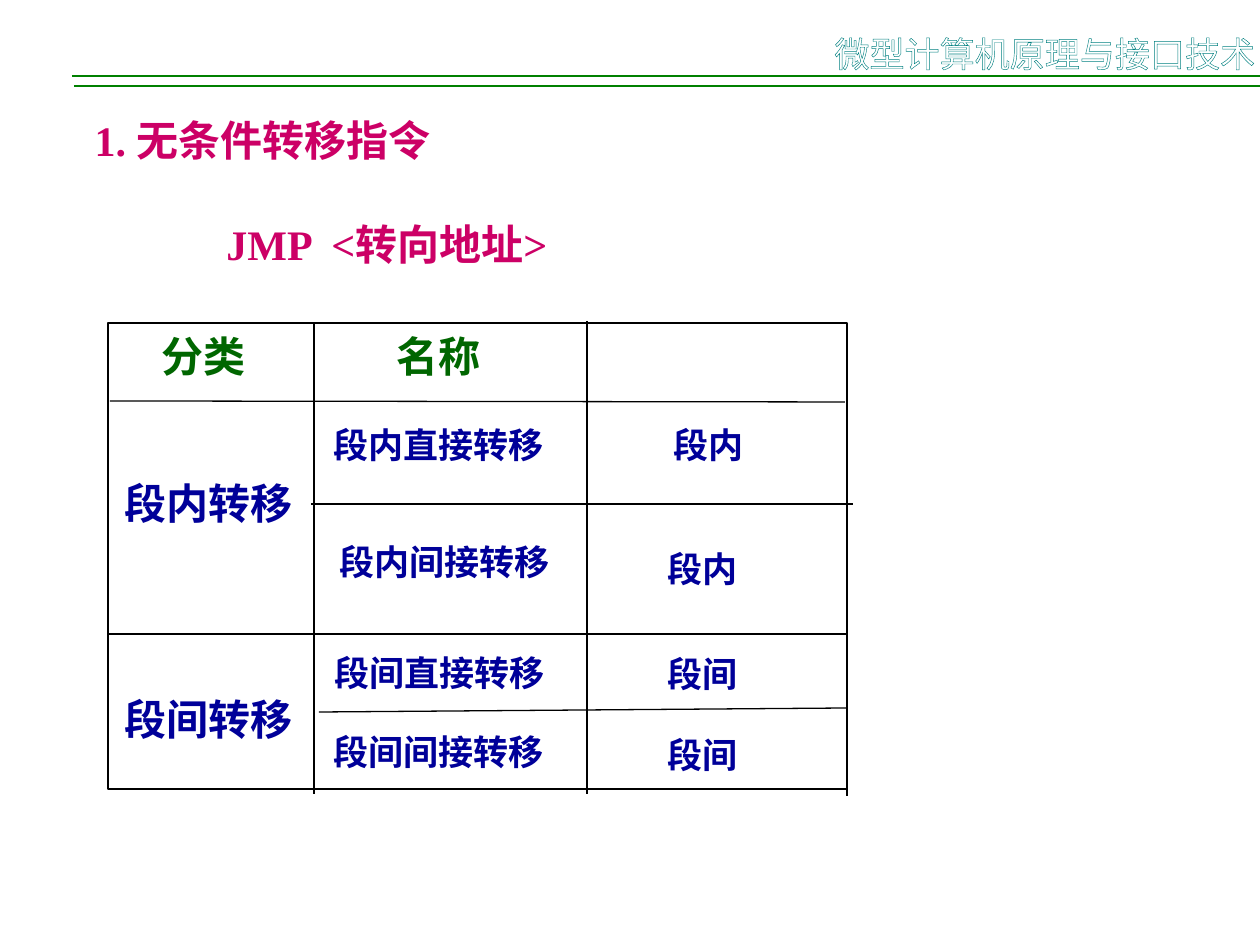
from dataclasses import dataclass
from typing import Any

from lxml.etree import SubElement
from pptx import Presentation
from pptx.dml.color import RGBColor as Rgb
from pptx.enum.shapes import MSO_CONNECTOR as Link, MSO_SHAPE as Kind
from pptx.enum.text import MSO_ANCHOR as Anchor, MSO_AUTO_SIZE as Fit, PP_ALIGN as Align
from pptx.oxml import parse_xml
from pptx.oxml.ns import nsdecls, qn
from pptx.util import Emu, Pt

SCALE = 914400 / 126


@dataclass(frozen=True)
class Theme:
    ink: str = "000000"
    rule: str = "008000"
    edge: str = "008080"
    white: str = "FFFFFF"
    title: str = "CC0066"
    head: str = "006600"
    body: str = "000099"
    latin: str = "Times New Roman"
    asian: str = "Noto Sans CJK SC"
    big: int = 24
    small: int = 20
    width: float = 0.75


@dataclass(frozen=True)
class Label:
    text: str
    x: int
    y: int
    w: int
    h: int
    size: int
    color: str


@dataclass(frozen=True)
class Rule:
    x1: int
    y1: int
    x2: int
    y2: int


THEME = Theme()
BIG, SMALL = THEME.big, THEME.small

BANNER = Label("微型计算机原理与接口技术", 868, 26, 354, 35, SMALL, THEME.white)
TITLE = Label("1. 无条件转移指令", 82, 108, 380, 63, BIG, THEME.title)
SYNTAX = Label("JMP  <转向地址>", 214, 212, 370, 63, BIG, THEME.title)

HEADS = [Label(text, x, 324, 114, 63, BIG, THEME.head)
         for text, x in (("分类", 149), ("名称", 384))]
GROUPS = [Label(text, 112, y, 196, 63, BIG, THEME.body)
          for text, y in (("段内转移", 471), ("段间转移", 687))]
NAMES = [Label(text, x, y, 238, 55, SMALL, THEME.body)
         for text, x, y in (("段内直接转移", 321, 417), ("段内间接转移", 327, 534),
                            ("段间直接转移", 322, 645), ("段间间接转移", 321, 724))]
SCOPES = [Label(text, x, y, 98, 55, SMALL, THEME.body)
          for text, x, y in (("段内", 661, 417), ("段内", 655, 541),
                             ("段间", 655, 646), ("段间", 655, 727))]

HEADER = [Rule(74, 86, 1260, 86), Rule(72, 76, 1260, 76)]
GRID = [
    Rule(314, 324, 314, 794), Rule(587, 321, 587, 794), Rule(847, 324, 847, 796),
    Rule(110, 401, 845, 402), Rule(311, 504, 853, 504),
    Rule(108, 634, 846, 634), Rule(319, 712, 847, 708),
]


def px(n: int) -> Emu:
    return Emu(round(n * SCALE))


def write(shape: Any, label: Label, latin: str = THEME.latin, bold: bool = True) -> Any:
    """Put the label's text in the shape and return its run."""
    frame = shape.text_frame
    frame.word_wrap = False
    frame.auto_size = Fit.SHAPE_TO_FIT_TEXT
    frame.vertical_anchor = Anchor.TOP
    para = frame.paragraphs[0]
    para.alignment = Align.LEFT
    run = para.add_run()
    run.text = label.text
    font = run.font
    font.size, font.bold, font.name = Pt(label.size), bold, latin
    font.color.rgb = Rgb.from_string(label.color)
    SubElement(font._element, qn("a:ea")).set("typeface", THEME.asian)
    return run


def add_label(slide: Any, label: Label) -> None:
    box = slide.shapes.add_textbox(*map(px, (label.x, label.y, label.w, label.h)))
    write(box, label)


def add_title(slide: Any, label: Label) -> None:
    title = slide.shapes.title
    title.left, title.top, title.width, title.height = map(
        px, (label.x, label.y, label.w, label.h))
    write(title, label)


def add_banner(slide: Any, label: Label) -> None:
    """Draw the course name in outlined letters."""
    box = slide.shapes.add_textbox(*map(px, (label.x, label.y, label.w, label.h)))
    run = write(box, label, THEME.asian, False)
    box.text_frame.auto_size = Fit.NONE
    box.text_frame.paragraphs[0].alignment = Align.CENTER
    run.font._element.insert(0, parse_xml(
        f'<a:ln {nsdecls("a")} w="{Pt(THEME.width)}"><a:solidFill>'
        f'<a:srgbClr val="{THEME.edge}"/></a:solidFill></a:ln>'))


def style(line: Any, color: str) -> None:
    line.color.rgb = Rgb.from_string(color)
    line.width = Pt(THEME.width)


def add_rule(slide: Any, rule: Rule, color: str) -> None:
    line = slide.shapes.add_connector(
        Link.STRAIGHT, *map(px, (rule.x1, rule.y1, rule.x2, rule.y2)))
    style(line.line, color)
    SubElement(line._element.spPr, qn("a:effectLst"))


def add_frame(slide: Any, x: int, y: int, w: int, h: int) -> None:
    frame = slide.shapes.add_shape(Kind.RECTANGLE, px(x), px(y), px(w), px(h))
    frame.shadow.inherit = False
    frame.fill.background()
    style(frame.line, THEME.ink)


def main() -> None:
    deck = Presentation()
    deck.slide_width, deck.slide_height = px(1260), px(945)
    slide = deck.slides.add_slide(deck.slide_layouts[5])
    for rule in HEADER:
        add_rule(slide, rule, THEME.rule)
    add_banner(slide, BANNER)
    add_title(slide, TITLE)
    add_frame(slide, 108, 323, 739, 466)
    for rule in GRID:
        add_rule(slide, rule, THEME.ink)
    for label in [SYNTAX, *HEADS, *GROUPS, *NAMES, *SCOPES]:
        add_label(slide, label)
    deck.save("out.pptx")


if __name__ == "__main__":
    main()
